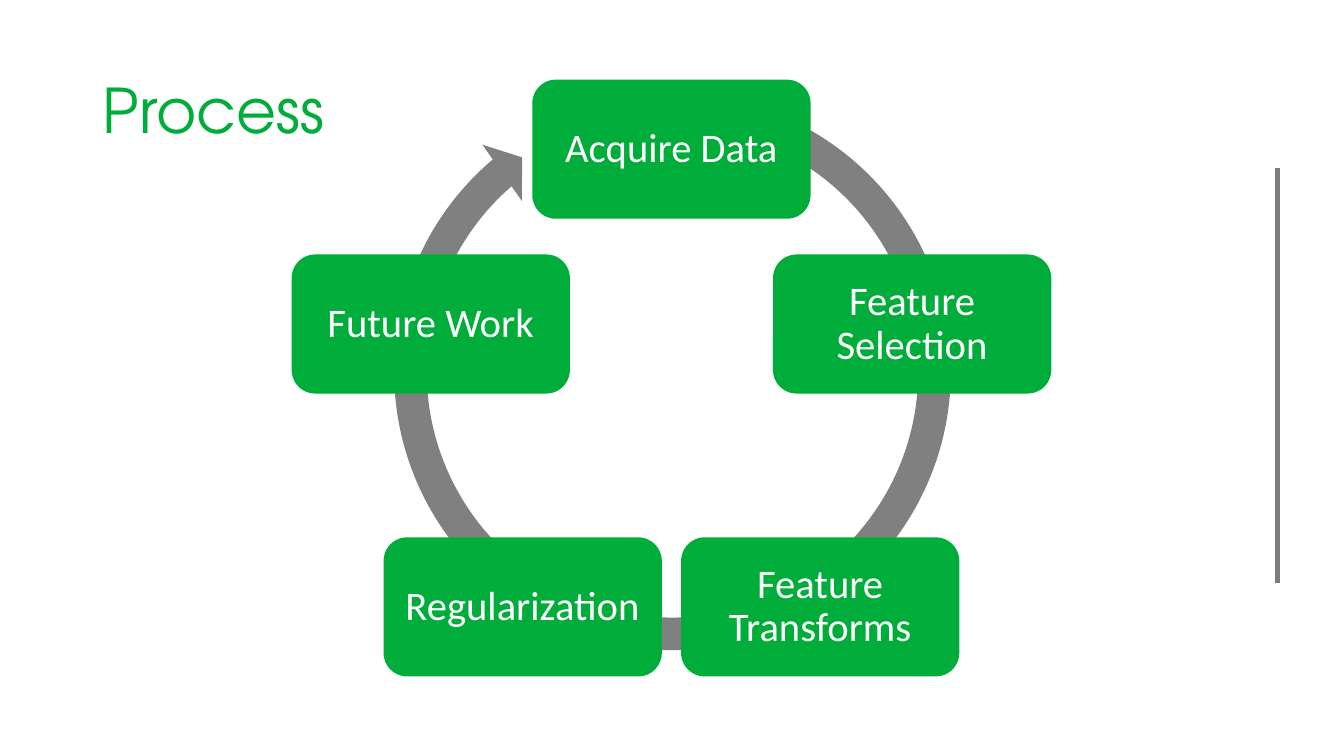
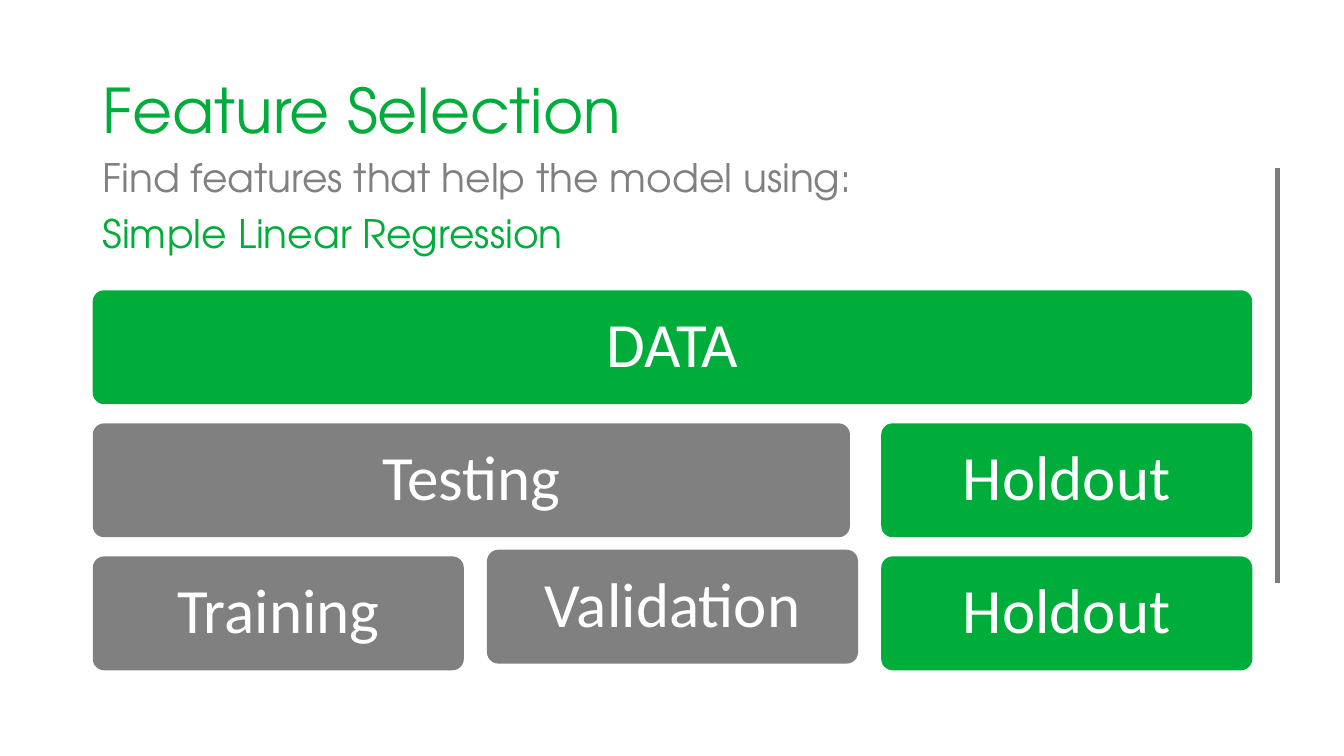
from dataclasses import dataclass
from math import cos, radians, sin

from lxml.etree import SubElement
from pptx import Presentation
from pptx.dml.color import RGBColor
from pptx.enum.shapes import MSO_CONNECTOR, MSO_SHAPE
from pptx.enum.text import MSO_ANCHOR, MSO_AUTO_SIZE, PP_ALIGN
from pptx.oxml.ns import qn
from pptx.util import Inches, Pt


@dataclass(frozen=True)
class Theme:
    green: RGBColor = RGBColor(0x00, 0xAD, 0x3B)
    gray: RGBColor = RGBColor(0x80, 0x80, 0x80)
    rule: RGBColor = RGBColor(0x7C, 0x7C, 0x7C)
    white: RGBColor = RGBColor(0xFF, 0xFF, 0xFF)
    heading_font: str = "TeX Gyre Adventor"
    label_font: str = "Calibri"
    title_size: Pt = Pt(44)
    body_size: Pt = Pt(28)
    step_size: Pt = Pt(29)
    block_size: Pt = Pt(45)
    line_spacing: float = 0.9


theme = Theme()
deck = Presentation()
deck.slide_width = Inches(13.33)
deck.slide_height = Inches(7.5)
margin, content_width = 0.92, 11.5


def add_page(heading):
    page = deck.slides.add_slide(deck.slide_layouts[5])
    rule = page.shapes.add_connector(
        MSO_CONNECTOR.STRAIGHT, Inches(12.67), Inches(1.67), Inches(12.67), Inches(5.78)
    )
    rule.line.color.rgb = theme.rule
    rule.line.width = Pt(3.25)
    SubElement(rule._element.spPr, qn("a:effectLst"))

    title = page.shapes.title
    title.left, title.top = Inches(margin), Inches(0.4)
    title.width, title.height = Inches(content_width), Inches(1.45)
    frame = title.text_frame
    frame.text = heading
    frame.auto_size = MSO_AUTO_SIZE.NONE
    frame.vertical_anchor = MSO_ANCHOR.MIDDLE
    para = frame.paragraphs[0]
    para.alignment = PP_ALIGN.LEFT
    para.line_spacing = theme.line_spacing
    para.font.name = theme.heading_font
    para.font.size = theme.title_size
    para.font.color.rgb = theme.green
    return page


def add_box(page, label, left, top, width, height, fill, size, inset, corner):
    box = page.shapes.add_shape(
        MSO_SHAPE.ROUNDED_RECTANGLE, Inches(left), Inches(top), Inches(width), Inches(height)
    )
    box.adjustments[0] = corner
    box.shadow.inherit = False
    box.fill.solid()
    box.fill.fore_color.rgb = fill
    box.line.fill.background()
    frame = box.text_frame
    frame.text = label
    frame.word_wrap = True
    frame.vertical_anchor = MSO_ANCHOR.MIDDLE
    frame.margin_left = frame.margin_right = Inches(inset)
    frame.margin_top = frame.margin_bottom = Inches(inset)
    para = frame.paragraphs[0]
    para.alignment = PP_ALIGN.CENTER
    para.line_spacing = theme.line_spacing
    para.font.name = theme.label_font
    para.font.size = size
    para.font.color.rgb = theme.white


process_page = add_page("Process")
cycle = process_page.shapes.add_shape(
    MSO_SHAPE.CIRCULAR_ARROW, Inches(3.73), Inches(0.75), Inches(5.88), Inches(5.88)
)
for index, value in enumerate((0.055, 3.307, 137.676, 173.91, 0.058)):
    cycle.adjustments[index] = value
cycle.shadow.inherit = False
cycle.fill.solid()
cycle.fill.fore_color.rgb = theme.gray
cycle.line.fill.background()

steps = ("Acquire Data", "Feature Selection", "Feature Transforms", "Regularization", "Future Work")
center_x, center_y, radius = 6.66, 3.99, 2.51
step_width, step_height = 2.76, 1.38
for index, step in enumerate(steps):
    angle = radians(index * 360 / len(steps))
    left = center_x + radius * sin(angle) - step_width / 2
    top = center_y - radius * cos(angle) - step_height / 2
    add_box(process_page, step, left, top, step_width, step_height,
            theme.green, theme.step_size, 0.12, 0.17)

selection_page = add_page("Feature Selection")
body = selection_page.shapes.add_textbox(
    Inches(margin), Inches(1.52), Inches(content_width), Inches(1.3)
)
frame = body.text_frame
frame.word_wrap = True
frame.text = "Find features that help the model using:\nSimple Linear Regression"
for para, color in zip(frame.paragraphs, (theme.gray, theme.green)):
    para.line_spacing = theme.line_spacing
    para.space_before = Pt(10)
    para.font.name = theme.heading_font
    para.font.size = theme.body_size
    para.font.color.rgb = color

block_width, block_height = 3.68, 1.13
column_step = (content_width - block_width) / 2
first_row, row_step = 2.88, 1.32
blocks = (
    ("DATA", 0, 0, content_width, theme.green),
    ("Testing", 0, 1, 7.51, theme.gray),
    ("Training", 0, 2, block_width, theme.gray),
    ("Validation", 1, 1.95, block_width, theme.gray),
    ("Holdout", 2, 1, block_width, theme.green),
    ("Holdout", 2, 2, block_width, theme.green),
)
for label, column, row, width, fill in blocks:
    add_box(selection_page, label, margin + column * column_step, first_row + row * row_step,
            width, block_height, fill, theme.block_size, 0.19, 0.1)

deck.save("out.pptx")
